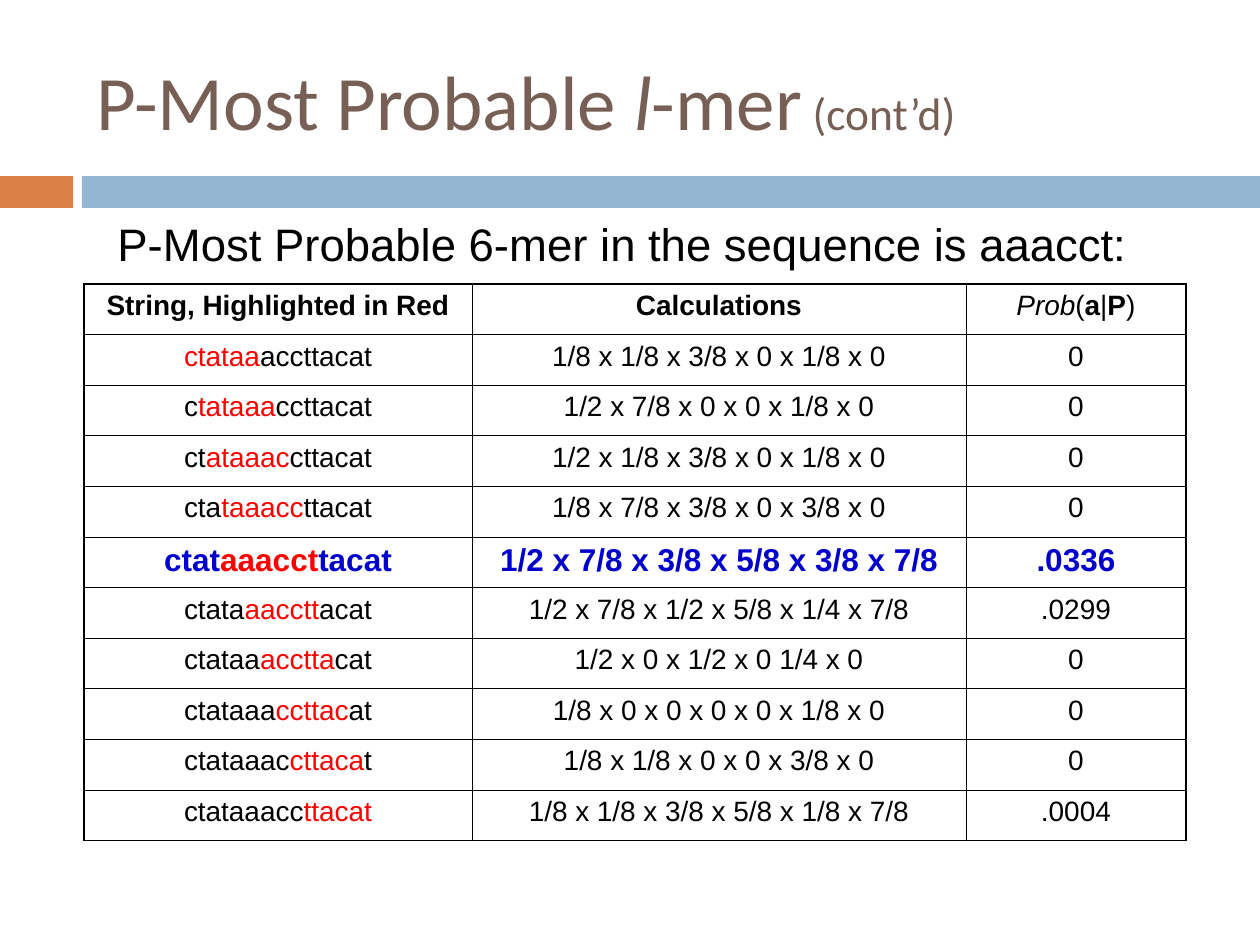
"""Builds the slide on the P-most probable l-mer with its probability table."""
from lxml.etree import SubElement
from pptx import Presentation
from pptx.dml.color import RGBColor
from pptx.enum.shapes import MSO_SHAPE as Shape
from pptx.enum.text import MSO_ANCHOR as Anchor, MSO_AUTO_SIZE as AutoSize, PP_ALIGN as Align
from pptx.oxml.ns import qn
from pptx.util import Pt

EMU_PER_PX = 914400 / 126
BLACK, RED, BLUE, BROWN = "000000", "FF0000", "0000CC", "775F55"
SEQUENCE, WINDOW = "ctataaaccttacat", 6
COLUMNS = [388, 494, 220]
TABLE_HEIGHT = 557
BEST_ROW = 5
HEADERS = [
    [("String, Highlighted in Red", {"bold": True})],
    [("Calculations", {"bold": True})],
    [("Prob", {"italic": True}), ("(", {}), ("a", {"bold": True}),
     ("|", {}), ("P", {"bold": True}), (")", {})],
]
RESULTS = [
    ("1/8 x 1/8 x 3/8 x 0 x 1/8 x 0", "0"),
    ("1/2 x 7/8 x 0 x 0 x 1/8 x 0", "0"),
    ("1/2 x 1/8 x 3/8 x 0 x 1/8 x 0", "0"),
    ("1/8 x 7/8 x 3/8 x 0 x 3/8 x 0", "0"),
    ("1/2 x 7/8 x 3/8 x 5/8 x 3/8 x 7/8", ".0336"),
    ("1/2 x 7/8 x 1/2 x 5/8 x 1/4 x 7/8", ".0299"),
    ("1/2 x 0 x 1/2 x 0 1/4 x 0", "0"),
    ("1/8 x 0 x 0 x 0 x 0 x 1/8 x 0", "0"),
    ("1/8 x 1/8 x 0 x 0 x 3/8 x 0", "0"),
    ("1/8 x 1/8 x 3/8 x 5/8 x 1/8 x 7/8", ".0004"),
]


def px(length):
    """Turn pixels into EMU."""
    return round(length * EMU_PER_PX)


def color(hex_string):
    """Turn a hex string into a colour."""
    return RGBColor.from_string(hex_string)


def set_font(font, name=None, size=None, fill=None, bold=None, italic=None):
    """Apply the given font settings."""
    if name:
        font.name = name
    if size:
        font.size = Pt(size)
    if fill:
        font.color.rgb = color(fill)
    if bold is not None:
        font.bold = bold
    if italic is not None:
        font.italic = italic


def add_runs(paragraph, runs):
    """Add each non-empty (text, font settings) pair as a run."""
    for text, settings in runs:
        if text:
            run = paragraph.add_run()
            run.text = text
            set_font(run.font, **settings)


def add_bar(slide, left, width, fill):
    """Add one piece of the band under the title."""
    bar = slide.shapes.add_shape(Shape.RECTANGLE, px(left), px(176), px(width), px(32))
    bar.shadow.inherit = False
    bar.fill.solid()
    bar.fill.fore_color.rgb = color(fill)
    bar.line.fill.background()


def fill_title(slide):
    """Place and write the title."""
    title = slide.shapes.title
    title.left, title.top, title.width, title.height = px(84), px(32), px(1124), px(136)
    frame = title.text_frame
    frame.vertical_anchor = Anchor.MIDDLE
    frame.auto_size = AutoSize.NONE
    paragraph = frame.paragraphs[0]
    paragraph.alignment = Align.LEFT
    set_font(paragraph.font, "Calibri", fill=BROWN)
    add_runs(paragraph, [
        ("P-Most Probable ", {"size": 44}),
        ("l", {"size": 44, "italic": True}),
        ("-mer", {"size": 44}),
        (" (cont’d)", {"size": 26}),
    ])


def add_statement(slide, text):
    """Add the sentence above the table."""
    box = slide.shapes.add_textbox(px(105), px(210), px(1040), px(68))
    box.text_frame.word_wrap = True
    paragraph = box.text_frame.paragraphs[0]
    paragraph.text = text
    set_font(paragraph.font, "Arial", 26, BLACK)


def set_borders(cell, outer_sides):
    """Draw the cell borders, thicker on the outer sides."""
    properties = cell._tc.get_or_add_tcPr()
    for side in "LRTB":
        width = Pt(1.08 if side in outer_sides else 0.45)
        line = SubElement(properties, qn(f"a:ln{side}"), w=str(width))
        SubElement(SubElement(line, qn("a:solidFill")), qn("a:srgbClr"), val=BLACK)


def table_rows():
    """List the rows of cells, with the window moving along the sequence."""
    rows = [HEADERS]
    for start, (calculation, probability) in enumerate(RESULTS):
        end = start + WINDOW
        string = [(SEQUENCE[:start], {}), (SEQUENCE[start:end], {"fill": RED}),
                  (SEQUENCE[end:], {})]
        rows.append([string, [(calculation, {})], [(probability, {})]])
    return rows


def add_probability_table(slide):
    """Add the table of strings, calculations and probabilities."""
    rows = table_rows()
    last_row, last_column = len(rows) - 1, len(COLUMNS) - 1
    table = slide.shapes.add_table(len(rows), len(COLUMNS), px(84), px(284),
                                   px(sum(COLUMNS)), px(TABLE_HEIGHT)).table
    table.first_row = table.horz_banding = False
    for column, width in zip(table.columns, COLUMNS):
        column.width = px(width)
    for i, row in enumerate(rows):
        table.rows[i].height = px(TABLE_HEIGHT) // len(rows)
        style = ("Arial", 18, BLUE, True) if i == BEST_ROW else ("Arial", 16, BLACK, False)
        for j, runs in enumerate(row):
            cell = table.cell(i, j)
            edges = {"T": i == 0, "B": i == last_row, "L": j == 0, "R": j == last_column}
            set_borders(cell, [side for side, outer in edges.items() if outer])
            cell.fill.background()
            paragraph = cell.text_frame.paragraphs[0]
            paragraph.alignment = Align.CENTER
            set_font(paragraph.font, *style)
            add_runs(paragraph, runs)


def main():
    """Build and save the slide."""
    presentation = Presentation()
    presentation.slide_width, presentation.slide_height = px(1260), px(945)
    slide = presentation.slides.add_slide(presentation.slide_layouts[5])
    add_bar(slide, 0, 73, "DD8047")
    add_bar(slide, 82, 1178, "94B6D2")
    fill_title(slide)
    add_probability_table(slide)
    add_statement(slide, "P-Most Probable 6-mer in the sequence is aaacct:")
    presentation.save("out.pptx")


if __name__ == "__main__":
    main()
